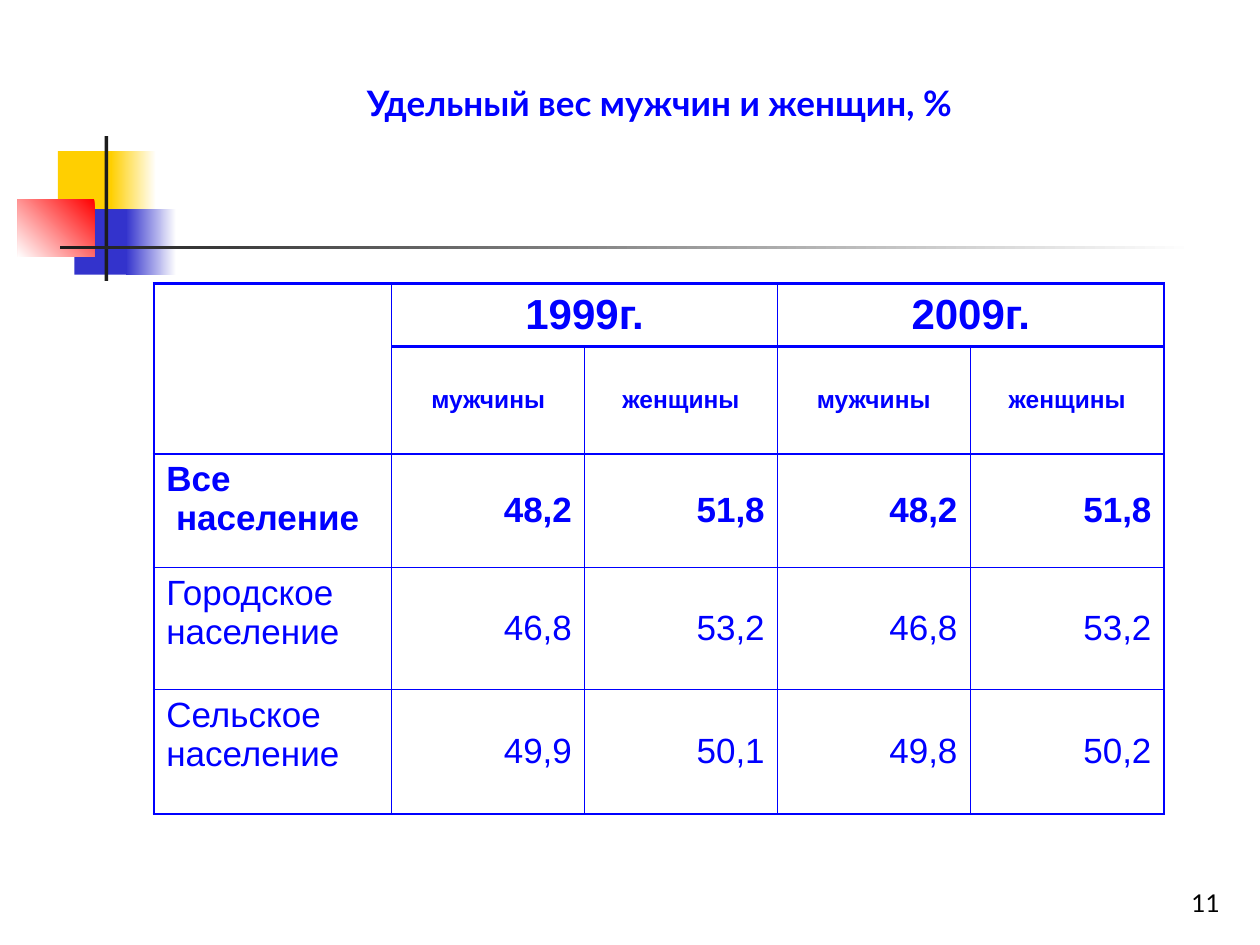
"""Build a slide with a table of the shares of men and women."""
import pptx
import pptx.dml.color
import pptx.enum.shapes
import pptx.enum.text
import pptx.oxml
import pptx.oxml.ns
import pptx.util
from pptx.util import Inches

ALIGN = pptx.enum.text.PP_ALIGN
ANCHOR = pptx.enum.text.MSO_ANCHOR
BLUE, WHITE, YELLOW, INDIGO, RED, DARK = (
    "0000FF", "FFFFFF", "FFCF01", "3333CC", "FF0000", "1C1C1C")
THIN, THICK = 0.45, 1.47

ORNAMENT = [
    (0.46, 1.2, 0.48, 0.52, [YELLOW], 0),
    (0.88, 1.2, 0.36, 0.52, [WHITE, YELLOW], 180),
    (0.59, 1.66, 0.46, 0.52, [INDIGO], 0),
    (1, 1.66, 0.4, 0.52, [WHITE, INDIGO], 180),
    (0.14, 1.58, 0.61, 0.46, [RED, WHITE], 225),
    (0.83, 1.08, 0.03, 1.15, [DARK], 0),
    (0.48, 1.95, 9, 0.03, [WHITE, DARK], 180),
]
COLUMN_WIDTHS = [1.89, 1.53, 1.53, 1.53, 1.54]
ROW_HEIGHTS = [0.5, 0.85, 0.9, 0.97, 0.99]
ROWS = [
    ["", "1999г.", "", "2009г.", ""],
    ["", "мужчины", "женщины", "мужчины", "женщины"],
    ["Все\v население", "48,2", "51,8", "48,2", "51,8"],
    ["Городское население", "46,8", "53,2", "46,8", "53,2"],
    ["Сельское население", "49,9", "50,1", "49,8", "50,2"],
]


def rgb(value):
    return pptx.dml.color.RGBColor.from_string(value)


def set_text(frame, text, size, color, align, font="Arial", bold=False, before=0):
    frame.word_wrap = True
    para = frame.paragraphs[0]
    para.text = text
    para.alignment = align
    para.space_before = pptx.util.Pt(before)
    para.font.name = font
    para.font.size = pptx.util.Pt(size)
    para.font.bold = bold
    para.font.color.rgb = rgb(color)


def add_text(page, left, top, width, height, text, size, color, align,
             anchor=ANCHOR.TOP, bold=False):
    box = page.shapes.add_textbox(
        Inches(left), Inches(top), Inches(width), Inches(height))
    box.text_frame.vertical_anchor = anchor
    set_text(box.text_frame, text, size, color, align, "Lato", bold)


def add_block(page, left, top, width, height, colors, angle):
    block = page.shapes.add_shape(
        pptx.enum.shapes.MSO_SHAPE.RECTANGLE,
        Inches(left), Inches(top), Inches(width), Inches(height))
    block.shadow.inherit = False
    block.line.fill.background()
    if len(colors) == 1:
        block.fill.solid()
        block.fill.fore_color.rgb = rgb(colors[0])
        return
    block.fill.gradient()
    block.fill.gradient_angle = angle
    for stop, color in zip(block.fill.gradient_stops, colors):
        stop.color.rgb = rgb(color)


def set_borders(cell, widths):
    properties = cell._tc.get_or_add_tcPr()
    for side, width in zip("LRTB", widths):
        properties.append(pptx.oxml.parse_xml(
            f'<a:ln{side} {pptx.oxml.ns.nsdecls("a")} w="{pptx.util.Pt(width)}">'
            f'<a:solidFill><a:srgbClr val="{BLUE}"/></a:solidFill></a:ln{side}>'))


def format_cell(cell, row, column, text):
    right = column + cell.span_width
    bottom = row + cell.span_height
    thick_edges = [column == 0, right == len(COLUMN_WIDTHS),
                   row <= 2, bottom in (1, 2, len(ROWS))]
    set_borders(cell, [THICK if edge else THIN for edge in thick_edges])
    cell.fill.solid()
    cell.fill.fore_color.rgb = rgb(WHITE)
    is_label = column == 0
    cell.vertical_anchor = ANCHOR.TOP if is_label else ANCHOR.MIDDLE
    if not text:
        return
    size, before = {0: (24, 6), 1: (14, 3.5)}.get(row, (20, 5))
    align = ALIGN.CENTER if row < 2 else ALIGN.LEFT if is_label else ALIGN.RIGHT
    set_text(cell.text_frame, text, size, BLUE, align, bold=row <= 2, before=before)


def add_share_table(page):
    frame = page.shapes.add_table(
        len(ROWS), len(COLUMN_WIDTHS), Inches(1.22), Inches(2.25),
        Inches(sum(COLUMN_WIDTHS)), Inches(sum(ROW_HEIGHTS)))
    table = frame.table
    for column, width in zip(table.columns, COLUMN_WIDTHS):
        column.width = Inches(width)
    for row, height in zip(table.rows, ROW_HEIGHTS):
        row.height = Inches(height)
    table.cell(0, 0).merge(table.cell(1, 0))
    for column in (1, 3):
        table.cell(0, column).merge(table.cell(0, column + 1))
    for row, texts in enumerate(ROWS):
        for column, text in enumerate(texts):
            format_cell(table.cell(row, column), row, column, text)


def main():
    deck = pptx.Presentation()
    deck.slide_width, deck.slide_height = Inches(10), Inches(7.5)
    page = deck.slides.add_slide(deck.slide_layouts[6])
    for block in ORNAMENT:
        add_block(page, *block)
    add_text(page, 1.14, 0.6, 8.19, 0.44, "Удельный вес мужчин и женщин, %",
             20, BLUE, ALIGN.CENTER, bold=True)
    add_share_table(page)
    add_text(page, 7.7, 6.83, 2.08, 0.5, "11", 14, "000000", ALIGN.RIGHT,
             ANCHOR.BOTTOM)
    deck.save("out.pptx")


main()
